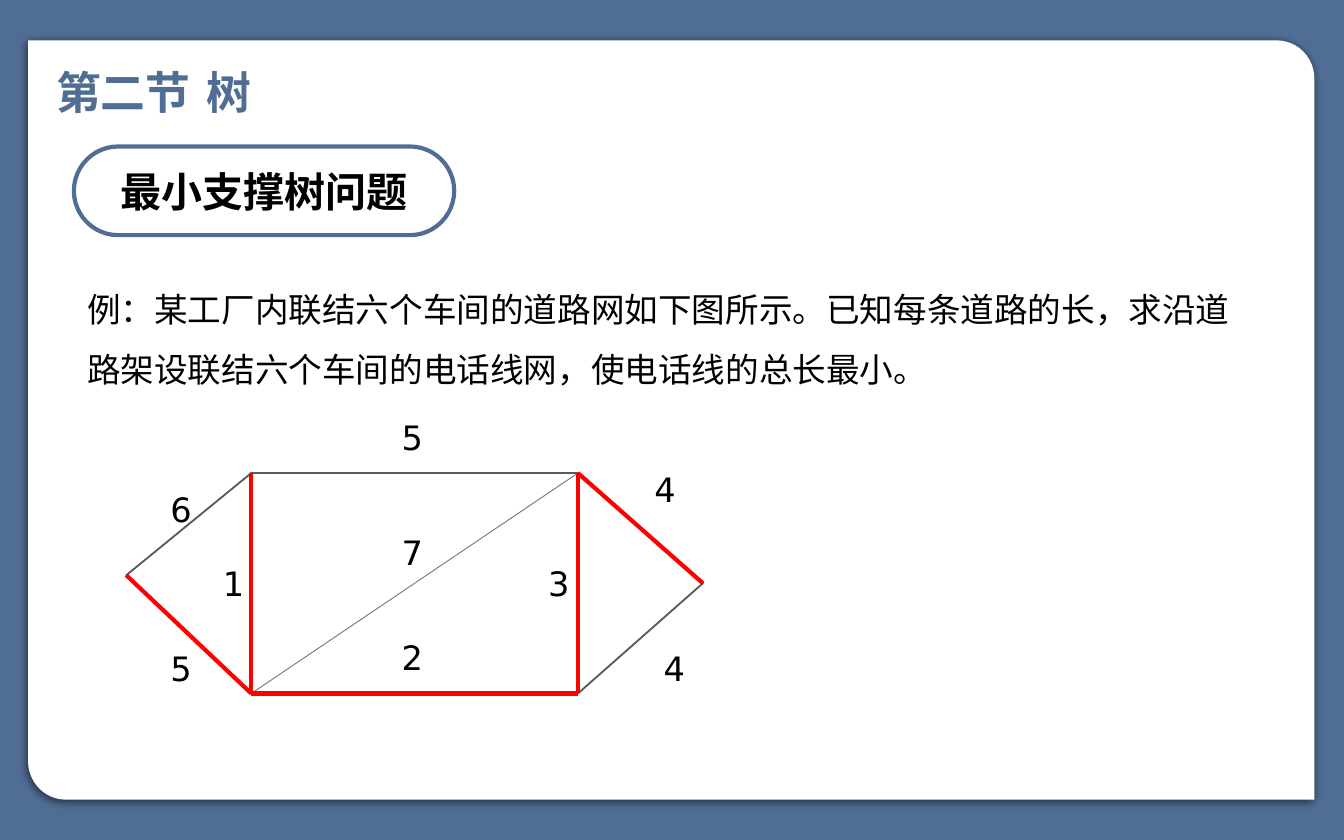
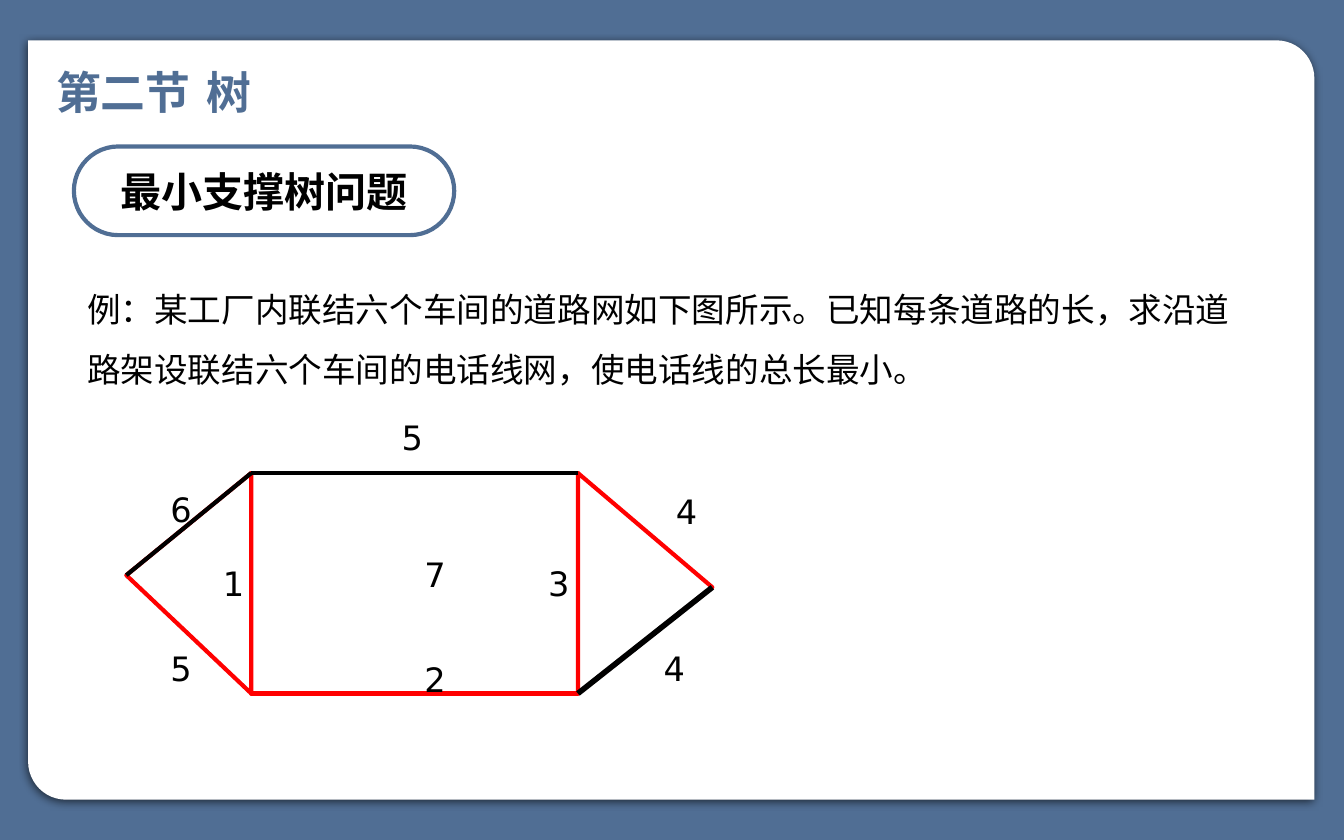
from lxml import etree
from pptx import Presentation
from pptx import util as u
from pptx.dml.color import RGBColor
from pptx.enum import shapes, text
from pptx.oxml import parse_xml
from pptx.oxml.ns import qn

BLUE = RGBColor(0x50, 0x6E, 0x94)
WHITE = RGBColor(0xFF, 0xFF, 0xFF)
BLACK = RGBColor(0x00, 0x00, 0x00)
RED = RGBColor(0xFF, 0x00, 0x00)
GREY = RGBColor(0x5A, 0x5B, 0x5D)
PALE_GREY = RGBColor(0x79, 0x7B, 0x7E)
FONT = "DejaVu Sans"
PANEL_SHADOW = """
<a:effectLst xmlns:a="http://schemas.openxmlformats.org/drawingml/2006/main">
  <a:outerShdw blurRad="57150" dist="19050" dir="5400000" algn="t" rotWithShape="0">
    <a:srgbClr val="000000"><a:alpha val="63000"/></a:srgbClr>
  </a:outerShdw>
</a:effectLst>"""

prs = Presentation()
prs.slide_width, prs.slide_height = u.Inches(10), u.Inches(6.25)
COL, ROW = prs.slide_width / 100, prs.slide_height / 100

# Corners of the road network, in hundredths of the slide
NORTH, SOUTH = 56.32, 82.56
WEST, EAST = 18.7, 43
NW, NE, SW, SE = (WEST, NORTH), (EAST, NORTH), (WEST, SOUTH), (EAST, SOUTH)
LEFT_TIP = (9.4, 68.48)
RIGHT_TIP = (52.3, 69.44)
FAR_RIGHT_TIP = (53, 69.92)

# Road lengths whose labels stay in the same place
COMMON_LABELS = [("1", 15.6, 66.24), ("6", 11.7, 57.44), ("5", 11.7, 76.32),
                 ("3", 39.8, 66.24), ("4", 48.4, 76.32), ("5", 28.9, 48.8)]
STEPS = [
    {
        "outline": (GREY, 1),
        "right_tip": RIGHT_TIP,
        "roads": [(SW, NE, PALE_GREY, 0.5), (SW, NW, RED, 2.25),
                  (SW, SE, RED, 2.25), (SE, NE, RED, 2.25),
                  (NE, RIGHT_TIP, RED, 2.25), (SW, LEFT_TIP, RED, 2.25)],
        "labels": [("2", 28.9, 75.04), ("4", 47.7, 55.04), ("7", 28.9, 62.56)],
    },
    {
        "outline": (RED, 2.25),
        "right_tip": FAR_RIGHT_TIP,
        "roads": [(LEFT_TIP, NW, BLACK, 2.25), (NW, NE, BLACK, 2.25),
                  (SE, FAR_RIGHT_TIP, BLACK, 3)],
        "labels": [("2", 30.6, 77.6), ("4", 49.3, 57.6), ("7", 30.6, 65.12)],
    },
]


def place(x, y, x_2, y_2):
    """Turn hundredths of the slide's width and height into lengths."""
    return [round(x * COL), round(y * ROW), round(x_2 * COL), round(y_2 * ROW)]


def write(shape, words, size, color=BLACK, bold=False):
    """Fill the shape with one paragraph and return that paragraph."""
    shape.text_frame.word_wrap = True
    paragraph = shape.text_frame.paragraphs[0]
    run = paragraph.add_run()
    run.text = words
    for name, value in {"name": FONT, "size": u.Pt(size), "bold": bold}.items():
        setattr(run.font, name, value)
    run.font.color.rgb = color
    etree.SubElement(run.font._element, qn("a:ea")).set("typeface", FONT)
    return paragraph


prs.slide_master.background.fill.solid()
prs.slide_master.background.fill.fore_color.rgb = BLUE

for step in STEPS:
    slide = prs.slides.add_slide(prs.slide_layouts[6])
    add_shape = slide.shapes.add_shape
    add_textbox = slide.shapes.add_textbox

    panel = add_shape(shapes.MSO_SHAPE.ROUND_2_DIAG_RECTANGLE, *place(2.1, 4.8, 95.7, 90.4))
    panel.adjustments[0], panel.adjustments[1] = 0, 0.05
    panel.fill.solid()
    panel.fill.fore_color.rgb = WHITE
    panel.line.fill.background()
    panel._element.spPr.append(parse_xml(PANEL_SHADOW))

    section = add_textbox(*place(3.2, 6.88, 42.4, 8))
    write(section, "第二节 树", 24, BLUE, bold=True)

    topic = add_shape(shapes.MSO_SHAPE.ROUNDED_RECTANGLE, *place(5.5, 17.44, 28.3, 10.56))
    topic.adjustments[0] = 0.5
    heading = write(topic, "最小支撑树问题", 22, bold=True)
    heading.alignment = text.PP_ALIGN.CENTER
    indent = u.Inches(0.25)
    heading._p.get_or_add_pPr().set("marL", str(indent))
    heading._p.get_or_add_pPr().set("indent", str(-indent))
    topic.text_frame.word_wrap = False
    topic.text_frame.vertical_anchor = text.MSO_ANCHOR.MIDDLE

    example = add_textbox(*place(5.5, 31.2, 89.1, 15.2))
    write(example, "例：某工厂内联结六个车间的道路网如下图所示。已知每条道路的长，"
          "求沿道路架设联结六个车间的电话线网，使电话线的总长最小。", 18).line_spacing = 1.5

    yard = add_shape(shapes.MSO_SHAPE.RECTANGLE,
                     *place(WEST, NORTH, EAST - WEST, SOUTH - NORTH))
    outlined = [(topic, BLUE, 2.25), (yard, *step["outline"])]

    for (tip_x, tip_y), base, turn in [(LEFT_TIP, WEST, 270), (step["right_tip"], EAST, 90)]:
        left, top, width, height = place(min(tip_x, base), NORTH,
                                         abs(tip_x - base), SOUTH - NORTH)
        wing = add_shape(shapes.MSO_SHAPE.ISOSCELES_TRIANGLE, left + (width - height) // 2,
                         top + (height - width) // 2, height, width)
        wing.rotation = turn
        share = (tip_y - NORTH) / (SOUTH - NORTH)
        wing.adjustments[0] = share if turn == 90 else 1 - share
        outlined.append((wing, *step["outline"]))

    for shape, color, weight in outlined:
        shape.shadow.inherit = False
        shape.fill.solid()
        shape.fill.fore_color.rgb = WHITE
        shape.line.color.rgb = color
        shape.line.width = u.Pt(weight)

    for start, end, color, weight in step["roads"]:
        road = slide.shapes.add_connector(shapes.MSO_CONNECTOR.STRAIGHT, *place(*start, *end))
        road.line.color.rgb = color
        road.line.width = u.Pt(weight)
        etree.SubElement(road._element.spPr, qn("a:effectLst"))

    for length, x, y in COMMON_LABELS + step["labels"]:
        write(add_textbox(*place(x, y, 2.3, 6.4)), length, 18)

prs.save("out.pptx")
